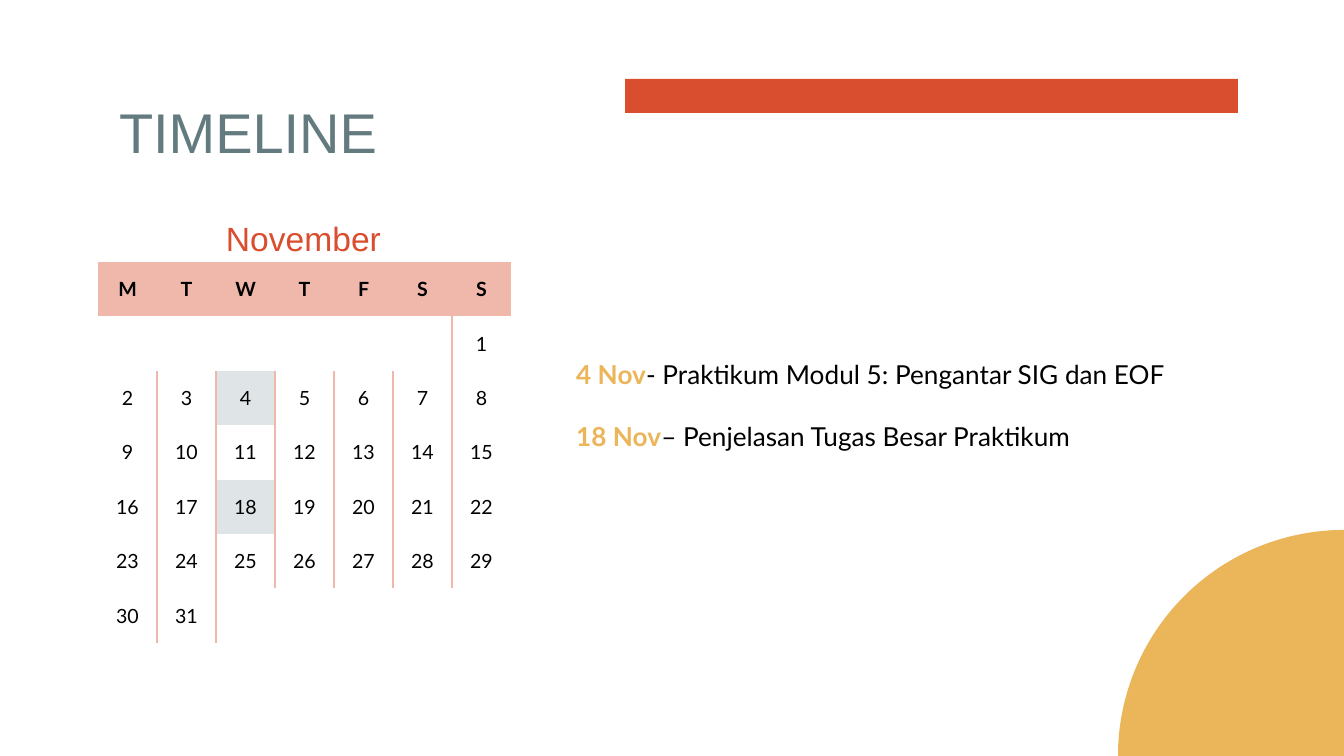
from math import cos, pi, sin

from lxml.etree import SubElement
from pptx import Presentation
from pptx.dml.color import RGBColor
from pptx.enum.shapes import MSO_SHAPE as Shape
from pptx.enum.text import MSO_ANCHOR as Anchor, MSO_AUTO_SIZE as AutoSize, PP_ALIGN as Align
from pptx.oxml.ns import qn
from pptx.util import Pt

# Content
TITLE = "TIMELINE"
MONTH = "November"
WEEKDAYS = ["M", "T", "W", "T", "F", "S", "S"]
FIRST_COLUMN, LAST_DAY = 6, 31
MARKED_DAYS = {"4", "18"}
EVENTS = [
    ("4 Nov", "- Praktikum Modul 5: Pengantar SIG dan EOF"),
    ("18 Nov", "– Penjelasan Tugas Besar Praktikum"),
]

# Style
RED = RGBColor(0xD8, 0x4E, 0x2E)
GOLD = RGBColor(0xEB, 0xB5, 0x5A)
SLATE = RGBColor(0x63, 0x7B, 0x7F)
PINK = RGBColor(0xEF, 0xB8, 0xAB)
PALE = RGBColor(0xDF, 0xE5, 0xE6)
BLACK = RGBColor(0, 0, 0)
SLIDE_WIDTH, SLIDE_HEIGHT = 1344, 756
CORNER_RADIUS, ARC_STEPS = 226, 90
EMU_PER_PX = 914400 / 134.4


def px(*lengths):
    return [round(length * EMU_PER_PX) for length in lengths]


def style(run, size, name, color, bold=False):
    font = run.font
    font.size, font.name, font.bold = Pt(size), name, bold
    font.color.rgb = color


def paint(shape, color):
    shape.shadow.inherit = False
    shape.fill.solid()
    shape.fill.fore_color.rgb = color
    shape.line.fill.background()


def add_text_box(*box):
    text_frame = slide.shapes.add_textbox(*px(*box)).text_frame
    text_frame.word_wrap = True
    return text_frame


def set_borders(cell, visible):
    properties = cell._tc.get_or_add_tcPr()
    for side in ("lnL", "lnR", "lnT", "lnB"):
        line = SubElement(properties, qn(f"a:{side}"), w=str(Pt(1)))
        if side in visible:
            fill = SubElement(line, qn("a:solidFill"))
            SubElement(fill, qn("a:srgbClr"), val=str(PINK))
        else:
            SubElement(line, qn("a:noFill"))


presentation = Presentation()
presentation.slide_width, presentation.slide_height = px(SLIDE_WIDTH, SLIDE_HEIGHT)
slide = presentation.slides.add_slide(presentation.slide_layouts[5])

# Red bar and quarter circle in the corner
paint(slide.shapes.add_shape(Shape.RECTANGLE, *px(625, 79, 613, 34)), RED)
angles = [step * pi / 2 / ARC_STEPS for step in range(ARC_STEPS + 1)]
arc = [
    px(SLIDE_WIDTH - CORNER_RADIUS * cos(angle), SLIDE_HEIGHT - CORNER_RADIUS * sin(angle))
    for angle in angles
]
builder = slide.shapes.build_freeform(*px(SLIDE_WIDTH, SLIDE_HEIGHT))
builder.add_line_segments(arc, close=True)
paint(builder.convert_to_shape(), GOLD)

# Title
title = slide.shapes.title
title.left, title.top, title.width, title.height = px(106, 79, 566, 85)
text_frame = title.text_frame
text_frame.text = TITLE
text_frame.auto_size = AutoSize.NONE
text_frame.vertical_anchor = Anchor.TOP
text_frame.margin_left, text_frame.margin_top = px(13, 19)
text_frame.paragraphs[0].alignment = Align.LEFT
style(text_frame.paragraphs[0].runs[0], 30, "Arial", SLATE)

# Calendar: a rule stands between two columns where either cell has a day
days = [""] * FIRST_COLUMN + [str(day) for day in range(1, LAST_DAY + 1)]
days += [""] * (-len(days) % 7)
rows = [WEEKDAYS] + [days[start:start + 7] for start in range(0, len(days), 7)]
table = slide.shapes.add_table(len(rows), 7, *px(98, 262, 413, 381)).table
table.first_row = table.horz_banding = False
for r, row in enumerate(rows):
    for c, label in enumerate(row):
        cell = table.cell(r, c)
        visible = set()
        if r and c and (label or row[c - 1]):
            visible.add("lnL")
        if r and c < 6 and (label or row[c + 1]):
            visible.add("lnR")
        set_borders(cell, visible)
        if r == 0 or label in MARKED_DAYS:
            cell.fill.solid()
            cell.fill.fore_color.rgb = PALE if r else PINK
        else:
            cell.fill.background()
        if label:
            cell.vertical_anchor = Anchor.MIDDLE
            cell.margin_left = cell.margin_right = px(10)[0]
            cell.margin_top = cell.margin_bottom = px(5)[0]
            paragraph = cell.text_frame.paragraphs[0]
            paragraph.text = label
            paragraph.alignment = Align.CENTER
            style(paragraph.runs[0], 10.5, "Lato", BLACK, bold=r == 0)

# Month name
text_frame = add_text_box(175, 211, 257, 54)
text_frame.text = MONTH
text_frame.paragraphs[0].alignment = Align.CENTER
style(text_frame.paragraphs[0].runs[0], 18, "Arial", RED)

# Events
text_frame = add_text_box(563, 320, 700, 140)
for index, (date, event) in enumerate(EVENTS):
    paragraph = text_frame.add_paragraph() if index else text_frame.paragraphs[0]
    paragraph.line_spacing = 2.0
    for text, color, bold in ((date, GOLD, True), (event, BLACK, False)):
        run = paragraph.add_run()
        run.text = text
        style(run, 14, "Lato", color, bold)

presentation.save("out.pptx")
